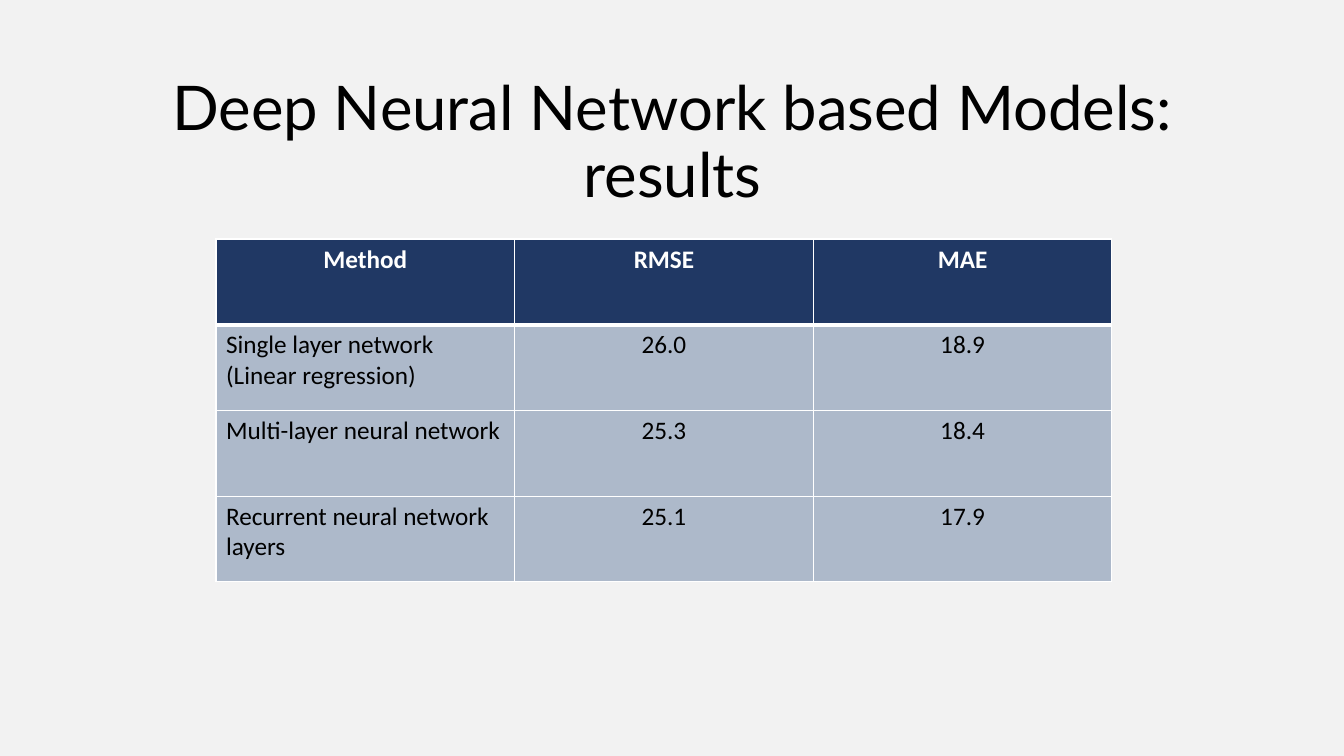
from lxml.etree import SubElement
from pptx import Presentation
from pptx.dml.color import RGBColor
from pptx.enum.text import MSO_ANCHOR, PP_ALIGN
from pptx.oxml.ns import qn
from pptx.util import Emu, Pt

EMU_PER_PX = 914400 / 100.8
RESULTS = [
    ["Method", "RMSE", "MAE"],
    ["Single layer network\n(Linear regression)", "26.0", "18.9"],
    ["Multi-layer neural network", "25.3", "18.4"],
    ["Recurrent neural network layers", "25.1", "17.9"],
]


def px(length):
    return Emu(round(length * EMU_PER_PX))


def color(value):
    return RGBColor.from_string(value)


class ResultsSlide:
    """Holds the slide and its style, and adds each kind of element."""

    background, ink, white = "F2F2F2", "000000", "FFFFFF"
    header_fill, body_fill = "203864", "ADB9CA"
    title_font, table_font = "Lato", "Calibri"

    def __init__(self, presentation):
        self.slide = presentation.slides.add_slide(presentation.slide_layouts[6])
        fill = self.slide.background.fill
        fill.solid()
        fill.fore_color.rgb = color(self.background)

    def add_run(self, paragraph, text, font, size, ink, bold=False):
        run = paragraph.add_run()
        run.text = text
        run.font.name = font
        run.font.size = Pt(size)
        run.font.bold = bold
        run.font.color.rgb = color(ink)

    def add_title(self, text, left, top, width, height):
        shape = self.slide.shapes.add_textbox(px(left), px(top), px(width), px(height))
        frame = shape.text_frame
        frame.word_wrap = True
        frame.vertical_anchor = MSO_ANCHOR.MIDDLE
        paragraph = frame.paragraphs[0]
        paragraph.alignment = PP_ALIGN.CENTER
        paragraph.line_spacing = 0.9
        self.add_run(paragraph, text, self.title_font, 44, self.ink)

    def add_borders(self, cell, top, bottom):
        properties = cell._tc.get_or_add_tcPr()
        widths = {"a:lnL": 1, "a:lnR": 1, "a:lnT": top, "a:lnB": bottom}
        for position, (side, width) in enumerate(widths.items()):
            line = SubElement(properties, qn(side), w=str(Pt(width)))
            fill = SubElement(line, qn("a:solidFill"))
            SubElement(fill, qn("a:srgbClr"), val=self.white)
            properties.insert(position, line)

    def fill_cell(self, cell, text, row, column):
        header = row == 0
        cell.fill.solid()
        cell.fill.fore_color.rgb = color(self.header_fill if header else self.body_fill)
        self.add_borders(cell, top=3 if row == 1 else 1, bottom=3 if header else 1)
        frame = cell.text_frame
        for index, line in enumerate(text.split("\n")):
            paragraph = frame.add_paragraph() if index else frame.paragraphs[0]
            centered = header or column > 0
            paragraph.alignment = PP_ALIGN.CENTER if centered else PP_ALIGN.LEFT
            ink = self.white if header else self.ink
            self.add_run(paragraph, line, self.table_font, 18, ink, bold=header)

    def add_table(self, rows, left, top, width, height):
        table = self.slide.shapes.add_table(
            len(rows), len(rows[0]), px(left), px(top), px(width), px(height)
        ).table
        for row, texts in enumerate(rows):
            for column, text in enumerate(texts):
                self.fill_cell(table.cell(row, column), text, row, column)


def main():
    presentation = Presentation()
    presentation.slide_width = px(1344)
    presentation.slide_height = px(756)
    slide = ResultsSlide(presentation)
    slide.add_title("Deep Neural Network based Models: results", 93, 71, 1159, 146)
    slide.add_table(RESULTS, 216, 239, 896, 343)
    presentation.save("out.pptx")


if __name__ == "__main__":
    main()
